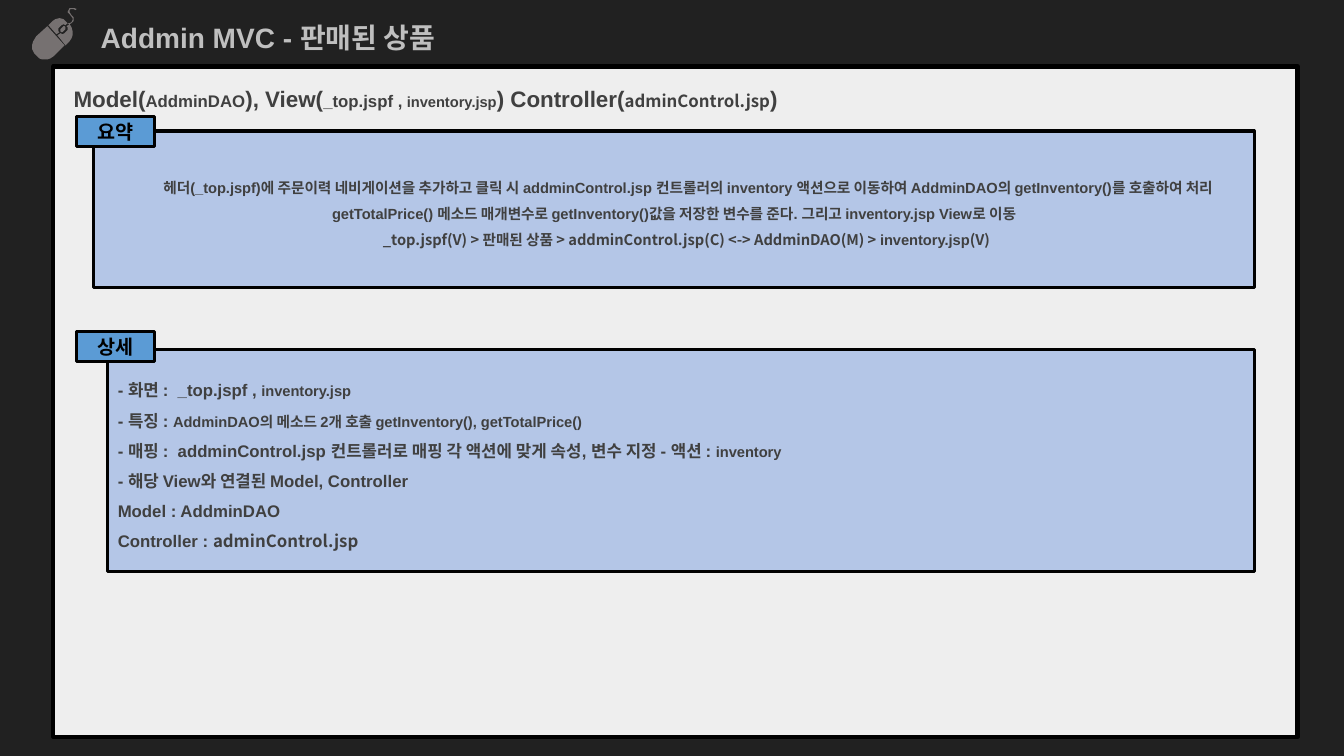
"""Build the admin MVC slide about sold products."""
from dataclasses import dataclass

import pptx
import pptx.dml.color
import pptx.enum.shapes
import pptx.enum.text
import pptx.oxml.ns
import pptx.util
from pptx.util import Inches

RGBColor = pptx.dml.color.RGBColor
Align = pptx.enum.text.PP_ALIGN
Anchor = pptx.enum.text.MSO_ANCHOR

BACKGROUND = RGBColor(0x21, 0x21, 0x21)
PAPER = RGBColor(0xEE, 0xEE, 0xEE)
PANEL_BLUE = RGBColor(0xB4, 0xC6, 0xE7)
TAG_BLUE = RGBColor(0x5B, 0x9B, 0xD5)
BLACK = RGBColor(0, 0, 0)
BODY_GREY = RGBColor(0x40, 0x40, 0x40)
TITLE_GREY = RGBColor(0xBF, 0xBF, 0xBF)
MOUSE_GREY = RGBColor(0x76, 0x71, 0x71)

ARIAL = "Arial"
NOTO = "Noto Sans CJK KR"


@dataclass(frozen=True)
class Span:
    text: str
    size: float
    font: str = ARIAL


@dataclass(frozen=True)
class Panel:
    left: float
    top: float
    width: float
    height: float
    fill: RGBColor
    border: float = 2.25


@dataclass(frozen=True)
class Section:
    tag: str
    tag_panel: Panel
    body_panel: Panel
    lines: list[list[Span]]
    align: Align
    indent: float = 0


HEADING = [[
    Span("Model(", 16), Span("AddminDAO", 12), Span("), View(", 16),
    Span("_top.jspf ,", 12), Span(" ", 11), Span("inventory.jsp", 10.5),
    Span(") Controller(", 16), Span("adminControl.jsp", 12, NOTO), Span(")", 16),
]]

SUMMARY = [
    [Span("헤더(_top.jspf)에 주문이력 네비게이션을 추가하고 클릭 시 addminControl.jsp "
          "컨트롤러의 inventory 액션으로 이동하여 AddminDAO의 getInventory()를 호출하여 처리 "
          "getTotalPrice() 메소드 매개변수로 getInventory()값을 저장한 변수를 준다. "
          "그리고 inventory.jsp View로 이동", 10.5)],
    [Span("_top.jspf(V) > 판매된 상품 > addminControl.jsp(C) <-> AddminDAO(M) > ", 10.5, NOTO),
     Span("inventory.jsp", 10.5), Span("(V) ", 10.5, NOTO)],
]

DETAILS = [
    [Span("- 화면 :  _top.jspf ,", 12), Span(" ", 11), Span("inventory.jsp", 10.5)],
    [Span("- 특징 : ", 12),
     Span("AddminDAO의 메소드 2개 호출 getInventory(), getTotalPrice()", 10.5)],
    [Span("- 매핑 :  addminControl.jsp 컨트롤러로 매핑 각 액션에 맞게 속성, "
          "변수 지정 - 액션 : ", 12), Span("inventory", 10.5)],
    [Span("- 해당 View와 연결된 Model, Controller", 12)],
    [Span("Model : AddminDAO", 12)],
    [Span("Controller : ", 12), Span("adminControl.jsp", 12, NOTO)],
]

SECTIONS = [
    Section("요약", Panel(0.76, 1.16, 0.77, 0.29, TAG_BLUE),
            Panel(0.93, 1.3, 11.51, 1.55, PANEL_BLUE), SUMMARY, Align.CENTER, 0.28),
    Section("상세", Panel(0.76, 3.29, 0.77, 0.3, TAG_BLUE),
            Panel(1.07, 3.47, 11.37, 2.2, PANEL_BLUE), DETAILS, Align.LEFT),
]

MOUSE_UNIT = Inches(0.01)
MOUSE_OUTLINES = {
    "wheel": [(64, 26), (65, 27), (65, 29), (62, 32), (61, 32), (60, 31), (60, 29), (63, 26)],
    "body": [(47, 26), (64, 45), (53, 56), (50, 58), (47, 59), (42, 59), (39, 58), (37, 56),
             (34, 53), (32, 49), (32, 44), (33, 41), (36, 36)],
    "right button": [(69, 24), (71, 27), (72, 31), (72, 35), (71, 38), (69, 41), (65, 45),
                     (57, 35), (60, 33), (62, 34), (64, 33), (67, 30), (67, 27), (66, 26)],
    "left button": [(59, 18), (63, 19), (67, 23), (65, 25), (63, 24), (61, 25), (58, 28),
                    (58, 31), (59, 32), (56, 34), (48, 25), (52, 21), (55, 19)],
    "cable": [(71, 8), (74, 8), (76, 9), (75, 10), (73, 9), (70, 9), (69, 10), (69, 12),
              (71, 15), (73, 17), (73, 21), (71, 23), (69, 24), (67, 23), (69, 23), (71, 22),
              (72, 20), (72, 18), (69, 14), (67, 12), (68, 10), (69, 8)],
}


def write(frame: pptx.text.text.TextFrame, lines: list[list[Span]], *, color: RGBColor,
          spacing: float = 1.0, align: Align = Align.LEFT,
          anchor: Anchor = Anchor.MIDDLE, indent: float = 0) -> None:
    """Fill a text frame with bold paragraphs in one format."""
    frame.word_wrap = True
    frame.vertical_anchor = anchor
    for index, spans in enumerate(lines):
        para = frame.add_paragraph() if index else frame.paragraphs[0]
        para.alignment = align
        para.line_spacing = spacing
        if indent:
            para._p.get_or_add_pPr().set("indent", str(Inches(indent)))
        for span in spans:
            run = para.add_run()
            run.text = span.text
            run.font.size = pptx.util.Pt(span.size)
            run.font.bold = True
            run.font.color.rgb = color
            run.font.name = span.font
            east_asian = run.font._element.makeelement(pptx.oxml.ns.qn("a:ea"), {"typeface": NOTO})
            run.font._element.append(east_asian)


def add_panel(page: pptx.slide.Slide, panel: Panel) -> pptx.shapes.autoshape.Shape:
    """Draw a filled rectangle with a black border."""
    box = page.shapes.add_shape(
        pptx.enum.shapes.MSO_SHAPE.RECTANGLE, Inches(panel.left), Inches(panel.top),
        Inches(panel.width), Inches(panel.height))
    box.shadow.inherit = False
    box.fill.solid()
    box.fill.fore_color.rgb = panel.fill
    box.line.color.rgb = BLACK
    box.line.width = pptx.util.Pt(panel.border)
    return box


def add_mouse(page: pptx.slide.Slide) -> None:
    """Draw the computer mouse icon as one freeform."""
    first, *others = MOUSE_OUTLINES.values()
    builder = page.shapes.build_freeform(*first[0], scale=float(MOUSE_UNIT))
    builder.add_line_segments(first[1:])
    for outline in others:
        builder.move_to(*outline[0])
        builder.add_line_segments(outline[1:])
    mouse = builder.convert_to_shape()
    mouse.shadow.inherit = False
    mouse.fill.solid()
    mouse.fill.fore_color.rgb = MOUSE_GREY
    mouse.line.fill.background()


def add_section(page: pptx.slide.Slide, section: Section) -> None:
    """Draw a text panel and the tag on its corner."""
    body = add_panel(page, section.body_panel)
    write(body.text_frame, section.lines, color=BODY_GREY, spacing=1.5,
          align=section.align, indent=section.indent)
    tag = add_panel(page, section.tag_panel)
    write(tag.text_frame, [[Span(section.tag, 14, NOTO)]], color=BLACK, align=Align.CENTER)


def main() -> None:
    """Build and save the deck."""
    deck = pptx.Presentation()
    deck.slide_width, deck.slide_height = Inches(13.33), Inches(7.5)
    page = deck.slides.add_slide(deck.slide_layouts[6])
    page.background.fill.solid()
    page.background.fill.fore_color.rgb = BACKGROUND

    paper = add_panel(page, Panel(0.53, 0.66, 12.34, 6.65, PAPER, border=3))
    paper.text_frame.margin_left = Inches(0.2)
    write(paper.text_frame, HEADING, color=BODY_GREY, spacing=1.5, anchor=Anchor.TOP)

    title = page.shapes.add_textbox(Inches(0.9), Inches(0.11), Inches(8.38), Inches(0.48))
    title.text_frame.auto_size = pptx.enum.text.MSO_AUTO_SIZE.SHAPE_TO_FIT_TEXT
    write(title.text_frame, [[Span("Addmin MVC - 판매된 상품", 20)]], color=TITLE_GREY,
          spacing=1.14, anchor=Anchor.TOP)

    add_mouse(page)
    for section in SECTIONS:
        add_section(page, section)
    deck.save("out.pptx")


if __name__ == "__main__":
    main()
